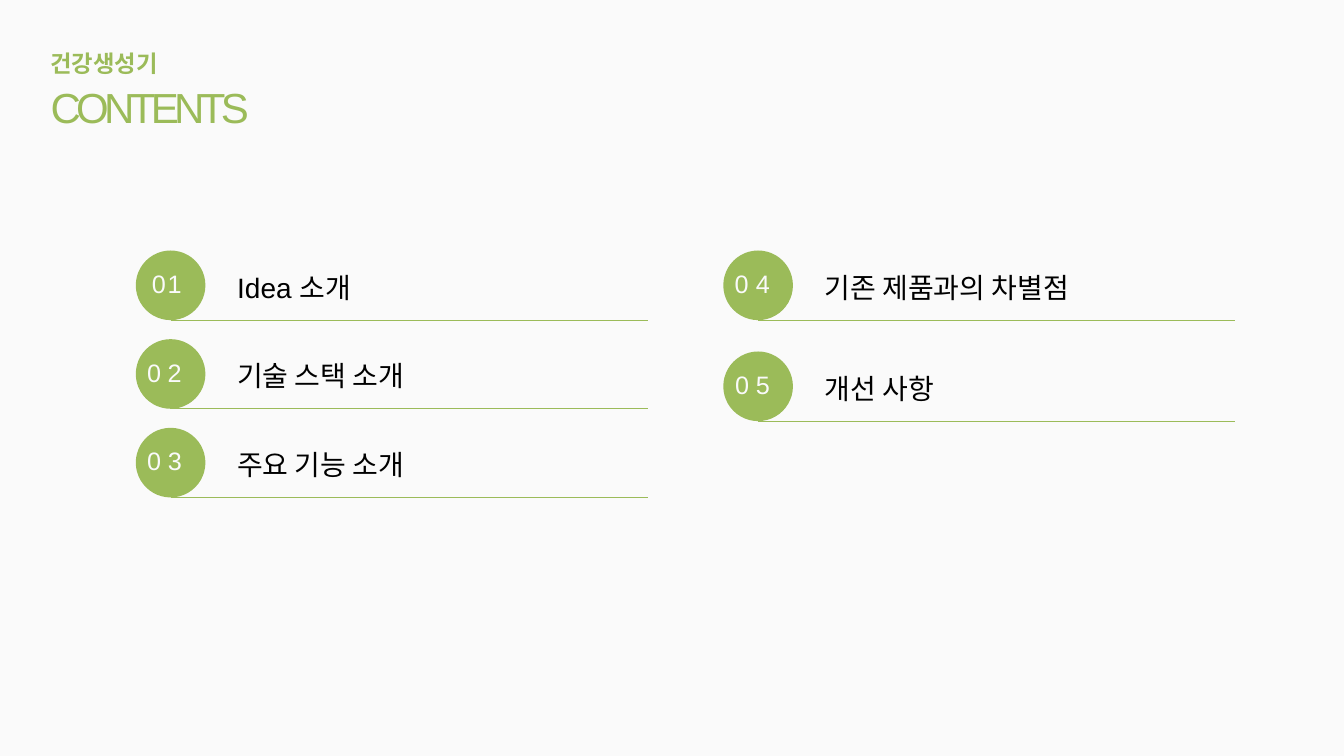
from pptx import Presentation
from pptx.dml.color import RGBColor
from pptx.enum.shapes import MSO_CONNECTOR, MSO_SHAPE
from pptx.enum.text import MSO_ANCHOR, MSO_AUTO_SIZE, PP_ALIGN
from pptx.oxml.ns import qn
from pptx.util import Pt

GREEN, OFF_WHITE, BLACK = "9BBB59", "FAFAFA", "000000"
TEAM = "건강생성기"
TITLE = "CONTENTS"

# Each entry: number, its inset within the circle, its letter spacing, label
COLUMNS = [
    {"left": 145.5, "pitch": 95, "entries": [
        ("01", 16.5, 2, "Idea 소개"),
        ("02", 11.5, 7, "기술 스택 소개"),
        ("03", 11.5, 7.2, "주요 기능 소개"),
    ]},
    {"left": 775, "pitch": 108.2, "entries": [
        ("04", 11.5, 7.8, "기존 제품과의 차별점"),
        ("05", 12, 7.2, "개선 사항"),
    ]},
]
FIRST_TOP = 268.4
DIAMETER = 74.6
RULE_LENGTH = 511
LABEL_OFFSET = 108


def color(hex_string):
    return RGBColor.from_string(hex_string)


def set_text(shape, text, size, hex_color, indent=0.7, top_inset=1, spacing=0, bold=False):
    frame = shape.text_frame
    frame.text = text
    frame.word_wrap = True
    frame.auto_size = MSO_AUTO_SIZE.NONE
    frame.vertical_anchor = MSO_ANCHOR.TOP
    frame.margin_left = frame.margin_right = frame.margin_bottom = 0
    frame.margin_top = Pt(top_inset)
    paragraph = frame.paragraphs[0]
    paragraph.alignment = PP_ALIGN.LEFT
    paragraph._p.get_or_add_pPr().set("marL", str(Pt(indent)))
    font = paragraph.font
    font.name, font.size, font.bold = "Arial", Pt(size), bold
    font.color.rgb = color(hex_color)
    if spacing:
        for run in paragraph.runs:
            run.font._element.set("spc", str(round(spacing * 100)))


def add_text(slide, left, top, width, height, *args, **options):
    box = slide.shapes.add_textbox(Pt(left), Pt(top), Pt(width), Pt(height))
    set_text(box, *args, **options)


def add_circle(slide, left, top):
    circle = slide.shapes.add_shape(
        MSO_SHAPE.OVAL, Pt(left), Pt(top), Pt(DIAMETER), Pt(DIAMETER))
    circle.shadow.inherit = False
    circle.fill.solid()
    circle.fill.fore_color.rgb = color(GREEN)
    circle.line.fill.background()


def add_rule(slide, left, top):
    rule = slide.shapes.add_connector(
        MSO_CONNECTOR.STRAIGHT, Pt(left), Pt(top), Pt(left + RULE_LENGTH), Pt(top))
    rule.line.color.rgb = color(GREEN)
    rule.line.width = Pt(0.75)
    properties = rule._element.spPr
    properties.append(properties.makeelement(qn("a:effectLst"), {}))


def add_entry(slide, left, top, number, number_inset, spacing, label):
    add_circle(slide, left, top)
    add_rule(slide, left + DIAMETER / 2, top + DIAMETER)
    add_text(slide, left + number_inset, top + 16.8, 52, 34.5,
             number, 27, OFF_WHITE, top_inset=2.4, spacing=spacing)
    add_text(slide, left + LABEL_OFFSET, top + 19, 440, 38, label, 30, BLACK, top_inset=2)


def main():
    presentation = Presentation()
    presentation.slide_width, presentation.slide_height = Pt(1440), Pt(810)
    slide = presentation.slides.add_slide(presentation.slide_layouts[5])
    slide.background.fill.solid()
    slide.background.fill.fore_color.rgb = color(OFF_WHITE)

    title = slide.shapes.title
    title.left, title.top, title.width, title.height = Pt(50.5), Pt(85.7), Pt(507.5), Pt(55.5)
    set_text(title, TITLE, 45, GREEN, indent=3.6, top_inset=2, spacing=-5)
    add_text(slide, 53.3, 50.4, 130, 31, TEAM, 25, GREEN, top_inset=2, bold=True)

    for column in COLUMNS:
        for row, entry in enumerate(column["entries"]):
            add_entry(slide, column["left"], FIRST_TOP + row * column["pitch"], *entry)

    presentation.save("out.pptx")


if __name__ == "__main__":
    main()
